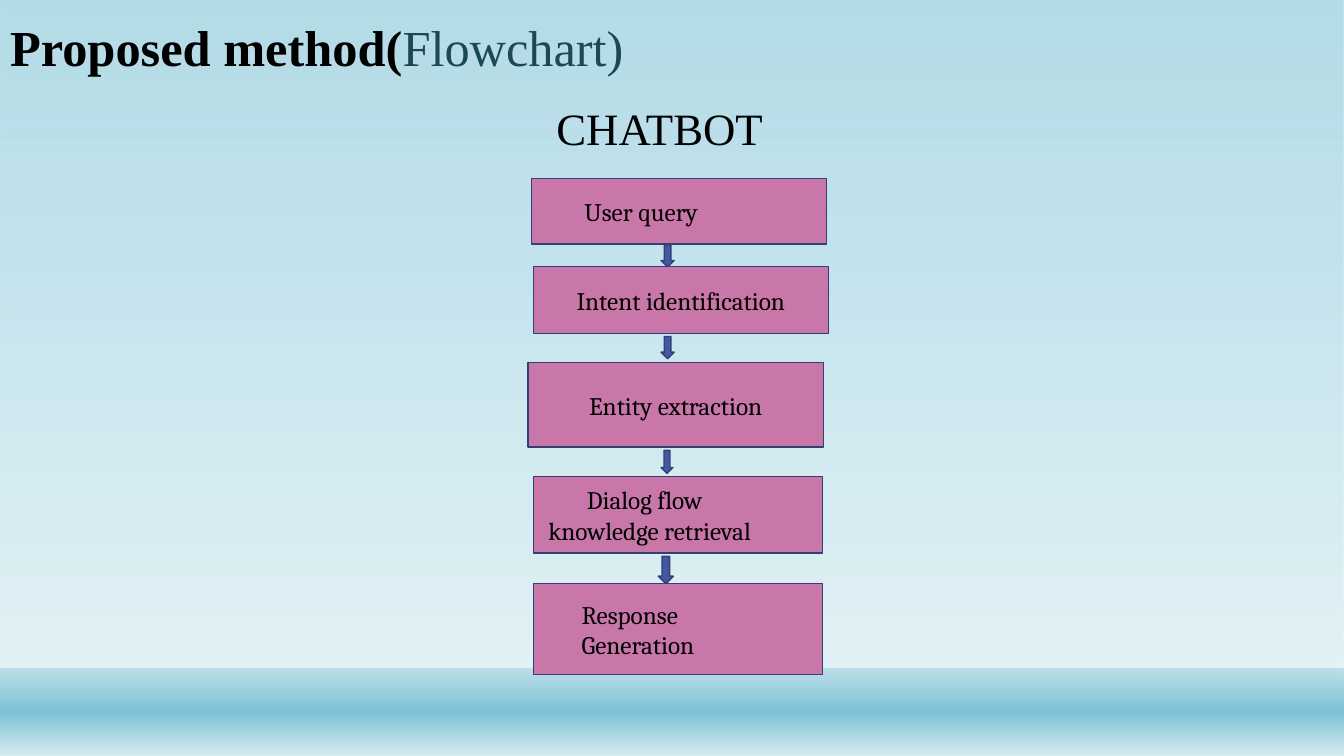
from dataclasses import dataclass

import lxml.etree
import pptx
import pptx.dml.color
import pptx.enum.shapes
import pptx.enum.text
import pptx.oxml.ns
import pptx.util

Cm = pptx.util.Cm
Pt = pptx.util.Pt
MSO_SHAPE = pptx.enum.shapes.MSO_SHAPE
PP_ALIGN = pptx.enum.text.PP_ALIGN
MSO_ANCHOR = pptx.enum.text.MSO_ANCHOR
qn = pptx.oxml.ns.qn


@dataclass(frozen=True)
class Theme:
    text: str = "000000"
    title_accent: str = "1B4855"
    step: str = "C877A8"
    arrow: str = "4557A1"
    outline: str = "334077"
    sky: tuple = ((0, "7DC2D6", 58), (88, "D4EBF1", 65))
    water: tuple = ((1, "7DC2D6", 38), (49, "7DC2D6", 100), (100, "D4EBF1", 89))
    heading_font: str = "Times New Roman"
    step_font: str = "Cambria"
    title_size: int = 36
    heading_size: int = 32
    step_size: int = 18


@dataclass(frozen=True)
class Box:
    left: float
    top: float
    width: float
    height: float

    def inner(self, left, top, width, height):
        return Box(self.left + left, self.top + top, width, height)

    def lengths(self):
        return Cm(self.left), Cm(self.top), Cm(self.width), Cm(self.height)


@dataclass(frozen=True)
class Step:
    lines: tuple
    place: tuple
    centred: bool = False
    margin: float = 0
    indent: float = 0


THEME = Theme()
STEPS = (
    Step(("User query",), (0.08, 0, 7.44, 1.65), margin=1.09),
    Step(("Intent identification",), (0.13, 2.21, 7.44, 1.7), centred=True),
    Step(("Entity extraction",), (0, 4.64, 7.44, 2.13), centred=True),
    Step(("Dialog flow\vknowledge retrieval",), (0.13, 7.51, 7.29, 1.93), margin=0.13, indent=0.97),
    Step(("Response", "Generation"), (0.13, 10.21, 7.29, 2.29), margin=0.97),
)
ARROWS = (
    (3.35, 1.67, 0.33, 0.56),
    (3.35, 3.98, 0.33, 0.56),
    (3.35, 6.85, 0.3, 0.58),
    (3.28, 9.52, 0.38, 0.69),
)


def rgb(color):
    return pptx.dml.color.RGBColor.from_string(color)


def style_font(font, name, size, color, bold=False):
    font.name = name
    font.size = Pt(size)
    font.bold = bold
    font.color.rgb = rgb(color)


def add_gradient_band(slide, box, stops):
    shape = slide.shapes.add_shape(MSO_SHAPE.RECTANGLE, *box.lengths())
    shape.shadow.inherit = False
    shape.line.fill.background()
    shape.fill.gradient()
    gradient = shape._element.spPr.find(qn("a:gradFill"))
    stop_list = gradient.find(qn("a:gsLst"))
    for stop in list(stop_list):
        stop_list.remove(stop)
    for position, color, opacity in stops:
        stop = lxml.etree.SubElement(stop_list, qn("a:gs"), pos=str(position * 1000))
        value = lxml.etree.SubElement(stop, qn("a:srgbClr"), val=color)
        lxml.etree.SubElement(value, qn("a:alpha"), val=str(opacity * 1000))
    gradient.find(qn("a:lin")).set("ang", "5400000")


def add_backdrop(slide, box):
    add_gradient_band(slide, box, THEME.sky)
    add_gradient_band(slide, box.inner(0, 16.84, box.width, 2.21), THEME.water)


def add_title(slide, box):
    title = slide.shapes.title
    slide.shapes._spTree.append(title._element)
    title.left, title.top, title.width, title.height = box.lengths()
    frame = title.text_frame
    frame.vertical_anchor = MSO_ANCHOR.MIDDLE
    paragraph = frame.paragraphs[0]
    paragraph.alignment = PP_ALIGN.LEFT
    paragraph.line_spacing = 0.9
    for text, color, bold in (
        ("Proposed method(", THEME.text, True),
        ("Flowchart)", THEME.title_accent, False),
    ):
        run = paragraph.add_run()
        run.text = text
        style_font(run.font, THEME.heading_font, THEME.title_size, color, bold)


def add_heading(slide, box):
    frame = slide.shapes.add_textbox(*box.lengths()).text_frame
    frame.word_wrap = True
    paragraph = frame.paragraphs[0]
    paragraph.text = "CHATBOT"
    style_font(paragraph.font, THEME.heading_font, THEME.heading_size, THEME.text)


def add_block(slide, kind, box, color):
    shape = slide.shapes.add_shape(kind, *box.lengths())
    shape.shadow.inherit = False
    shape.fill.solid()
    shape.fill.fore_color.rgb = rgb(color)
    shape.line.color.rgb = rgb(THEME.outline)
    shape.line.width = Pt(1)
    return shape


def add_step(slide, box, step):
    frame = add_block(slide, MSO_SHAPE.RECTANGLE, box, THEME.step).text_frame
    frame.word_wrap = True
    frame.vertical_anchor = MSO_ANCHOR.MIDDLE
    for number, line in enumerate(step.lines):
        paragraph = frame.add_paragraph() if number else frame.paragraphs[0]
        paragraph.text = line
        paragraph.alignment = PP_ALIGN.CENTER if step.centred else PP_ALIGN.LEFT
        style_font(paragraph.font, THEME.step_font, THEME.step_size, THEME.text)
        properties = paragraph._p.get_or_add_pPr()
        properties.set("marL", str(Cm(step.margin)))
        properties.set("indent", str(Cm(step.indent)))


def add_flowchart(slide, box):
    for place in ARROWS:
        add_block(slide, MSO_SHAPE.DOWN_ARROW, box.inner(*place), THEME.arrow)
    for step in STEPS:
        add_step(slide, box.inner(*step.place), step)


def main():
    presentation = pptx.Presentation()
    page = Box(0, 0, 33.87, 19.05)
    presentation.slide_width = Cm(page.width)
    presentation.slide_height = Cm(page.height)
    slide = presentation.slides.add_slide(presentation.slide_layouts.get_by_name("Title Only"))
    add_backdrop(slide, page)
    add_title(slide, page.inner(0, 0.4, page.width, 1.75))
    add_heading(slide, page.inner(13.77, 2.41, 9.42, 1.63))
    add_flowchart(slide, page.inner(13.31, 4.5, 7.57, 12.5))
    presentation.save("out.pptx")


if __name__ == "__main__":
    main()
